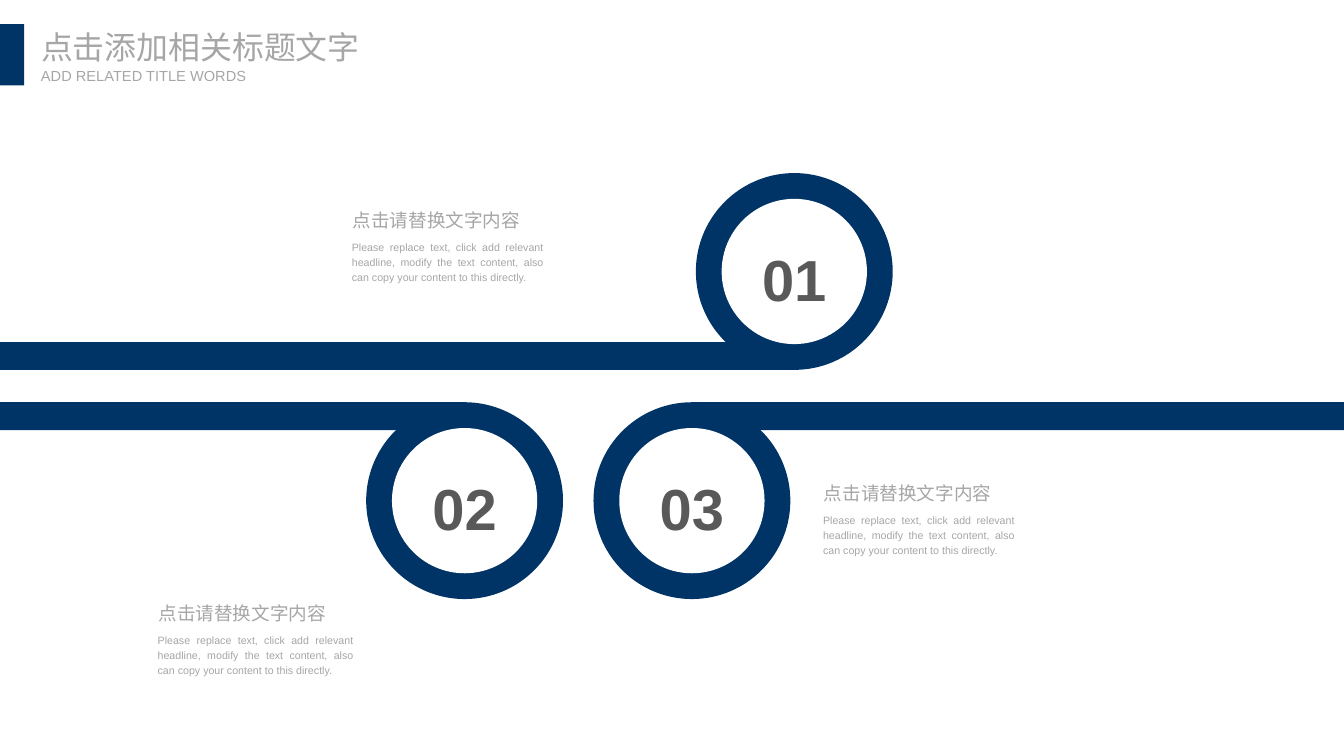
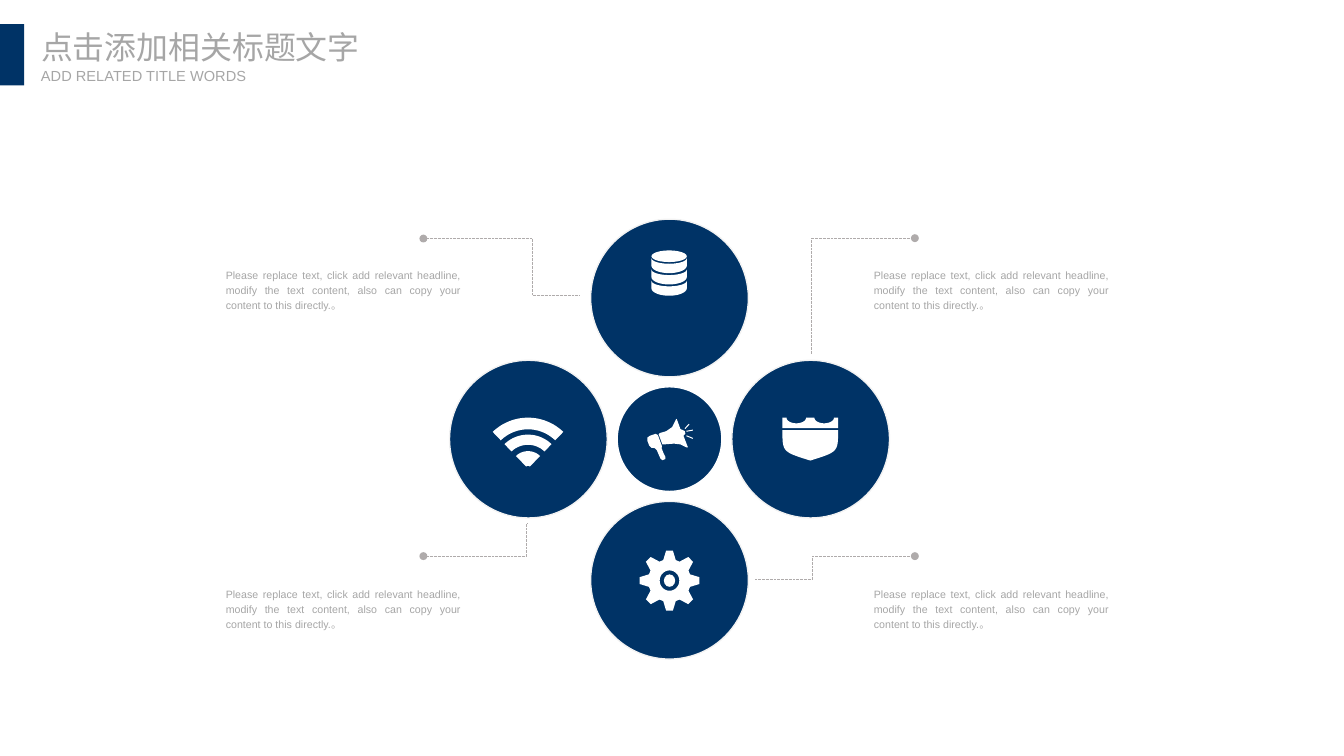
from dataclasses import dataclass
from math import cos, radians, sin

from lxml import etree
from pptx import Presentation
from pptx.dml.color import RGBColor
from pptx.enum.dml import MSO_LINE
from pptx.enum.shapes import MSO_CONNECTOR, MSO_SHAPE
from pptx.enum.text import MSO_ANCHOR, MSO_AUTO_SIZE, PP_ALIGN
from pptx.oxml.ns import qn
from pptx.util import Cm, Pt

OVAL, RECT = MSO_SHAPE.OVAL, MSO_SHAPE.RECTANGLE
STRAIGHT, ELBOW = MSO_CONNECTOR.STRAIGHT, MSO_CONNECTOR.ELBOW
LEFT, CENTER, JUSTIFY = PP_ALIGN.LEFT, PP_ALIGN.CENTER, PP_ALIGN.JUSTIFY
TOP, MIDDLE = MSO_ANCHOR.TOP, MSO_ANCHOR.MIDDLE
FIT, FIXED = MSO_AUTO_SIZE.SHAPE_TO_FIT_TEXT, MSO_AUTO_SIZE.NONE


@dataclass(frozen=True)
class Theme:
    """Colours, fonts and type sizes of the deck."""
    navy: str = "003366"
    white: str = "FFFFFF"
    rim: str = "F2F2F2"
    grey: str = "A6A6A6"
    leader: str = "AFABAB"
    dark: str = "595959"
    latin: str = "Arial"
    cjk: str = "Noto Sans CJK SC"
    title: float = 24
    subtitle: float = 11
    number: float = 43.6
    heading: float = 14
    body: float = 8


T = Theme()
WIDTH, HEIGHT = 35.71, 20.09
TITLE = "点击添加相关标题文字"
SUBTITLE = "ADD RELATED TITLE WORDS"
HEADING = "点击请替换文字内容"
BODY = ("Please replace text, click add relevant headline, modify the text "
        "content, also can copy your content to this directly.")

BAR, RING, HOLE = 0.74, 5.23, 3.86
LOOPS = [
    dict(number="02", ring=(9.73, 10.69), bar=(0, 12.4, 10.69), text=(3.91, 16.64, 5.77)),
    dict(number="01", ring=(18.49, 4.6), bar=(0, 21.1, 9.09), text=(9.07, 6.2, 5.66)),
    dict(number="03", ring=(15.77, 10.69), bar=(18.39, WIDTH, 10.69), text=(21.59, 13.46, 5.66)),
]

HUB, SPREAD, DISC, HUB_DISC = (17.79, 11.67), 3.75, 4.19, 2.78
DIRECTIONS = [(0, -1), (1, 0), (0, 1), (-1, 0)]
LEADERS = [
    ((24.31, 6.33), (21.56, 9.4), 100),
    ((11.25, 14.78), (14.02, 13.92), 99),
    ((11.25, 6.34), (15.39, 7.85), 70),
    ((24.31, 14.78), (20.07, 15.39), 64),
]
NOTE_COLUMNS, NOTE_ROWS = (5.72, 22.94), (6.43, 14.91)

MEGAPHONE_HANDLE = [
    (17.58, 11.91), (17.59, 11.86), (17.48, 11.56), (17.42, 11.53),
    (17.27, 11.58), (17.2, 11.63), (17.2, 11.71), (17.25, 11.84),
    (17.31, 11.9), (17.4, 11.91), (17.45, 11.96), (17.55, 12.19),
    (17.6, 12.23), (17.68, 12.2), (17.68, 12.14), (17.63, 12.04)]
MEGAPHONE_HORN = [
    (18.16, 11.58), (18.21, 11.53), (18.2, 11.46), (18.08, 11.4),
    (17.98, 11.13), (17.96, 11.15), (17.86, 11.35), (17.7, 11.46),
    (17.53, 11.51), (17.5, 11.54), (17.6, 11.81), (17.65, 11.81),
    (17.91, 11.79), (18.08, 11.81), (18.24, 11.89), (18.28, 11.89)]
MEGAPHONE_RAYS = [
    ((18.2, 11.39), (18.31, 11.27)),
    ((18.24, 11.46), (18.41, 11.43)),
    ((18.24, 11.58), (18.41, 11.65))]


def rgb(color):
    """Return a colour object for a hex string."""
    return RGBColor.from_string(color)


def write(sp, text, *, size, color=T.grey, font=T.latin, bold=False, align=LEFT,
          anchor=TOP, spacing=None, margins=(0.28, 0.13), wrap=True, fit=FIXED):
    """Put one formatted paragraph into a shape."""
    tf = sp.text_frame
    tf.word_wrap, tf.auto_size, tf.vertical_anchor = wrap, fit, anchor
    tf.margin_left = tf.margin_right = Cm(margins[0])
    tf.margin_top = tf.margin_bottom = Cm(margins[1])
    p = tf.paragraphs[0]
    p.alignment = align
    if spacing:
        p.line_spacing = spacing
    r = p.add_run()
    r.text = text
    r.font.size, r.font.bold, r.font.name = Pt(size), bold, font
    r.font.color.rgb = rgb(color)
    etree.SubElement(r.font._element, qn("a:ea"), typeface=T.cjk)


def add_text(s, text, x, y, w, h, **style):
    """Add a text box."""
    write(s.shapes.add_textbox(Cm(x), Cm(y), Cm(w), Cm(h)), text, **style)


def paint(sp, fill, line=None):
    """Give a shape a flat fill and an optional 1 pt outline."""
    sp.shadow.inherit = False
    sp.fill.solid()
    sp.fill.fore_color.rgb = rgb(fill)
    if line:
        sp.line.color.rgb = rgb(line)
        sp.line.width = Pt(1)
    else:
        sp.line.fill.background()
    return sp


def add_block(s, x, y, w, h, fill):
    """Add a plain rectangle."""
    return paint(s.shapes.add_shape(RECT, Cm(x), Cm(y), Cm(w), Cm(h)), fill)


def add_disc(s, cx, cy, w, h, fill, line=None):
    """Add an ellipse around a centre."""
    sp = s.shapes.add_shape(OVAL, Cm(cx - w / 2), Cm(cy - h / 2), Cm(w), Cm(h))
    return paint(sp, fill, line)


def add_outline(s, *contours):
    """Add a white freeform made of closed contours."""
    paths = [[(Cm(x), Cm(y)) for x, y in c] for c in contours]
    fb = s.shapes.build_freeform(*paths[0][0], scale=1.0)
    for i, points in enumerate(paths):
        if i:
            fb.move_to(*points[0])
        fb.add_line_segments(points[1:], close=True)
    return paint(fb.convert_to_shape(), T.white)


def add_line(s, kind, start, end, color, width):
    """Add a connector without a shadow."""
    cn = s.shapes.add_connector(kind, *(Cm(v) for v in start + end))
    cn.line.color.rgb = rgb(color)
    cn.line.width = Pt(width)
    etree.SubElement(cn._element.spPr, qn("a:effectLst"))
    return cn


def add_leader(s, dot, end, bend):
    """Add a dotted elbow that starts with a dot and turns at bend percent."""
    cn = add_line(s, ELBOW, dot, end, T.leader, 0.5)
    cn.line.dash_style = MSO_LINE.ROUND_DOT
    etree.SubElement(cn.line._get_or_add_ln(), qn("a:headEnd"), type="oval")
    guides = cn._element.spPr.find(qn("a:prstGeom")).find(qn("a:avLst"))
    etree.SubElement(guides, qn("a:gd"), name="adj1", fmla=f"val {bend * 1000}")


def arc(cx, cy, rx, ry, start, end, steps=32):
    """Return points on an elliptical arc, degrees clockwise from the right."""
    angles = [radians(start + (end - start) * i / steps) for i in range(steps + 1)]
    return [(cx + rx * cos(a), cy + ry * sin(a)) for a in angles]


def bezier(points, steps=24):
    """Return points on a cubic curve."""
    ts = [i / steps for i in range(steps + 1)]
    return [tuple(sum(k * (1 - t) ** (3 - i) * t ** i * p[axis]
                      for i, (k, p) in enumerate(zip((1, 3, 3, 1), points)))
                  for axis in (0, 1)) for t in ts]


def draw_wifi(s, cx=14.03, cy=12.45):
    """Draw three concentric signal bands."""
    for outer, inner in [(0.46, 0.07), (0.9, 0.63), (1.35, 1.04)]:
        add_outline(s, arc(cx, cy, outer, outer, 226, 314)
                    + arc(cx, cy, inner, inner, 314, 226))


def draw_database(s, cx=17.78, top=6.86):
    """Draw a stack of three bands with a lid."""
    for i in range(3):
        y = top + 0.3 * i
        add_outline(s, arc(cx, y, 0.47, 0.15, 180, 0)
                    + arc(cx, y + 0.2, 0.47, 0.2, 0, 180))
    add_disc(s, cx, top - 0.05, 0.94, 0.31, T.white)


def draw_megaphone(s):
    """Draw a megaphone with three rays."""
    add_outline(s, MEGAPHONE_HANDLE)
    add_outline(s, MEGAPHONE_HORN)
    for start, end in MEGAPHONE_RAYS:
        add_line(s, STRAIGHT, start, end, T.white, 0.75)


def draw_shield(s, cx=21.53, top=11.1):
    """Draw a shield with a notched upper band."""
    half, seam, tip = 0.74, top + 0.33, top + 1.14
    sides = [bezier([(cx + d * half, seam), (cx + d * half, seam + 0.58),
                     (cx + d * half, tip - 0.23), (cx, tip)]) for d in (1, -1)]
    add_outline(s, sides[0] + sides[1][::-1])
    notches = [pt for dx in (0.37, -0.37)
               for pt in arc(cx + dx, top, 0.26, 0.15, 0, 180)]
    add_outline(s, [(cx + half, top)] + notches
                + [(cx - half, top), (cx - half, seam - 0.05), (cx + half, seam - 0.05)])


def draw_gear(s, cx=17.79, cy=15.43):
    """Draw an eight-tooth gear with a hub."""
    tooth = [(-17, 0.57), (-6.5, 0.8), (6.5, 0.8), (17, 0.57)]
    rim = [(cx + r * cos(radians(45 * k + a)), cy + r * sin(radians(45 * k + a)))
           for k in range(8) for a, r in tooth]
    add_outline(s, rim, arc(cx, cy, 0.26, 0.27, 360, 0))
    add_disc(s, cx, cy, 0.3, 0.33, T.white)


def new_slide(prs):
    """Add a slide with the shared title, subtitle and side band."""
    s = prs.slides.add_slide(prs.slide_layouts[5])
    plain = dict(margins=(0, 0), wrap=False, fit=FIT)
    add_block(s, 0, 0.64, 0.64, 1.63, T.navy)
    title = s.shapes.title
    title.left, title.top, title.width, title.height = Cm(1.09), Cm(0.74), Cm(8.56), Cm(1.02)
    write(title, TITLE, size=T.title, font=T.cjk, **plain)
    add_text(s, SUBTITLE, 1.09, 1.78, 5.54, 0.48, size=T.subtitle, **plain)
    return s


def build_loops(prs):
    """Build the slide with three numbered loops."""
    s = new_slide(prs)
    for loop in LOOPS:
        x0, x1, y = loop["bar"]
        add_block(s, x0, y, x1 - x0, BAR, T.navy)
        cx, cy = (v + RING / 2 for v in loop["ring"])
        add_disc(s, cx, cy, RING, RING, T.navy)
        write(add_disc(s, cx, cy, HOLE, HOLE, T.white), loop["number"], size=T.number,
              color=T.dark, bold=True, align=CENTER, anchor=MIDDLE, spacing=1.2)
    for loop in LOOPS:
        x, y, w = loop["text"]
        add_text(s, BODY, x, y, w, 1.5, size=T.body, align=JUSTIFY, spacing=1.2, fit=FIT)
        add_text(s, HEADING, x + 0.02, y - 0.89, 5.05, 0.94, size=T.heading,
                 spacing=1.2, wrap=False, fit=FIT)


def build_hub(prs):
    """Build the slide with four discs around a hub."""
    s = new_slide(prs)
    cx, cy = HUB
    add_disc(s, cx, cy, HUB_DISC, HUB_DISC, T.navy, T.white)
    for dx, dy in DIRECTIONS:
        add_disc(s, cx + dx * SPREAD, cy + dy * SPREAD, DISC, DISC, T.navy, T.rim)
    for leader in LEADERS:
        add_leader(s, *leader)
    for x in NOTE_COLUMNS:
        for y in NOTE_ROWS:
            add_text(s, BODY + "。", x, y, 6.81, 2.49, size=T.body, align=JUSTIFY,
                     anchor=MIDDLE, spacing=1.2)
    for draw in (draw_wifi, draw_database, draw_megaphone, draw_shield, draw_gear):
        draw(s)


def main():
    """Build and save the deck."""
    prs = Presentation()
    prs.slide_width, prs.slide_height = Cm(WIDTH), Cm(HEIGHT)
    build_loops(prs)
    build_hub(prs)
    prs.save("out.pptx")


if __name__ == "__main__":
    main()
